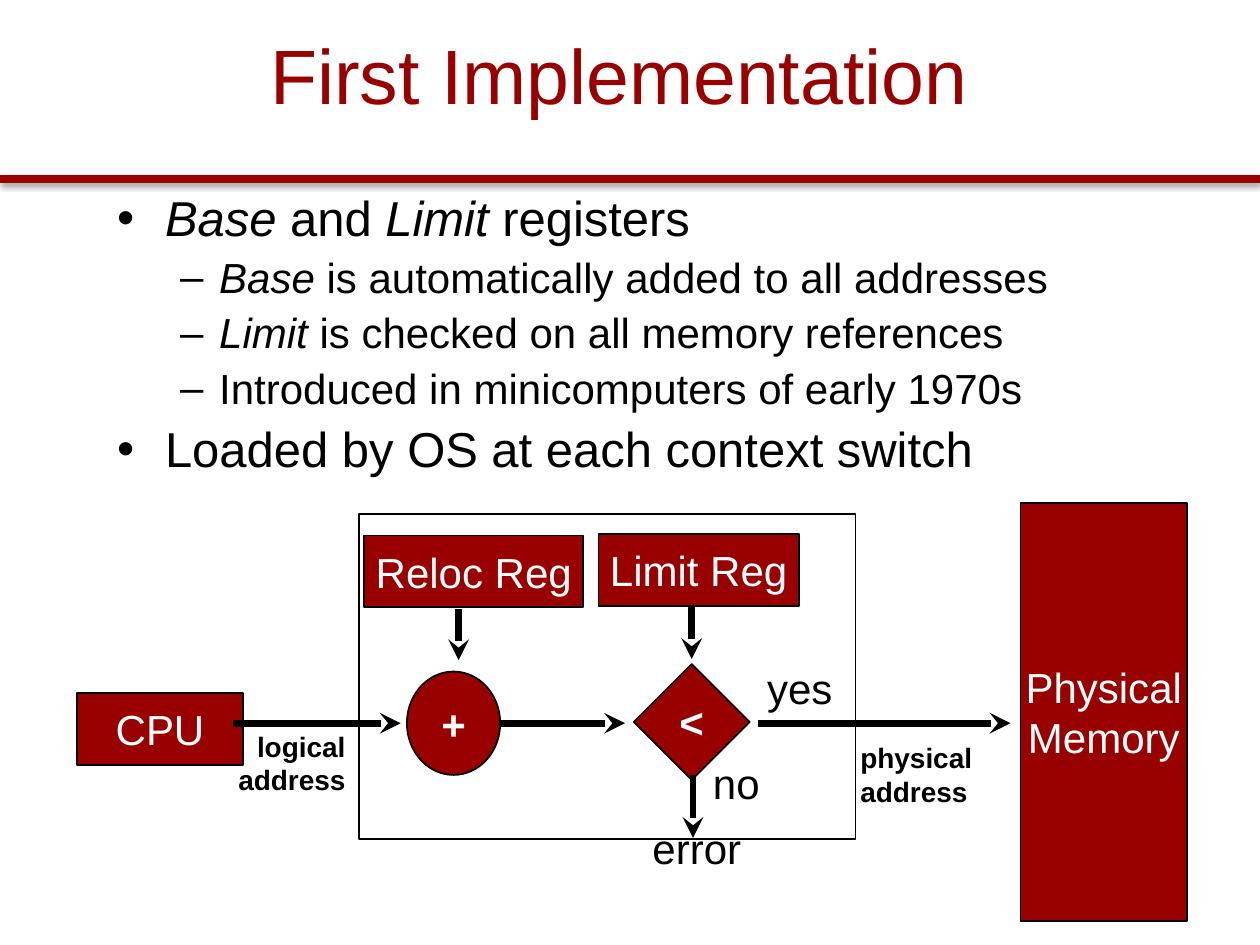
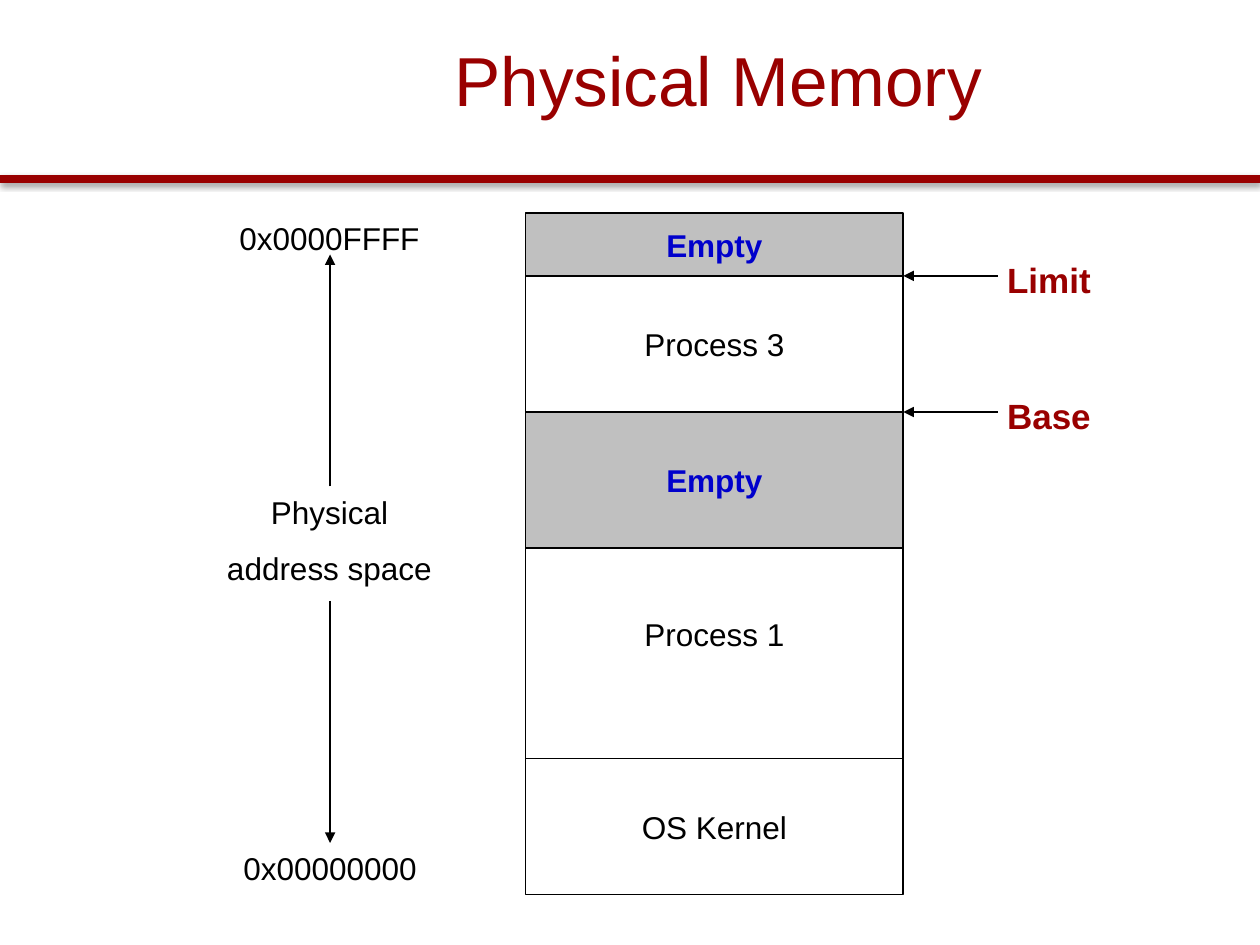
from lxml import etree
from pptx import Presentation
from pptx.dml.color import RGBColor
from pptx.enum.shapes import MSO_CONNECTOR, MSO_SHAPE
from pptx.enum.text import MSO_ANCHOR, MSO_AUTO_SIZE, PP_ALIGN
from pptx.oxml import parse_xml
from pptx.oxml.ns import nsdecls, qn
from pptx.util import Inches, Pt

RECTANGLE, OVAL, DIAMOND = MSO_SHAPE.RECTANGLE, MSO_SHAPE.OVAL, MSO_SHAPE.DIAMOND
LEFT, CENTER, RIGHT = PP_ALIGN.LEFT, PP_ALIGN.CENTER, PP_ALIGN.RIGHT
STRAIGHT = MSO_CONNECTOR.STRAIGHT
FONT = "Arial"
COLORS = {
    name: RGBColor.from_string(value)
    for name, value in {
        "red": "990000", "black": "000000", "white": "FFFFFF",
        "gray": "C0C0C0", "blue": "0000CC",
    }.items()
}


def add_label(slide, box, lines, size=24, color="black", bold=False, align=LEFT,
              kind=None, fill=None, space_before=0):
    """Add text in a plain text box, or in an outlined shape when a kind is given."""
    box = [Inches(length) for length in box]
    if kind is None:
        shape = slide.shapes.add_textbox(*box)
    else:
        shape = slide.shapes.add_shape(kind, *box)
        shape.shadow.inherit = False
        shape.line.color.rgb = COLORS["black"]
        shape.line.width = Pt(1)
        if fill:
            shape.fill.solid()
            shape.fill.fore_color.rgb = COLORS[fill]
        else:
            shape.fill.background()
        shape.text_frame.vertical_anchor = MSO_ANCHOR.MIDDLE
    frame = shape.text_frame
    frame.word_wrap = False
    for index, line in enumerate(lines):
        paragraph = frame.add_paragraph() if index else frame.paragraphs[0]
        paragraph.alignment = align
        if index:
            paragraph.space_before = Pt(space_before)
        run = paragraph.add_run()
        run.text = line
        run.font.name = FONT
        run.font.size = Pt(size)
        run.font.bold = bold
        run.font.color.rgb = COLORS[color]
    return shape


def add_line(slide, start, end, width, color="black", arrowhead=None):
    line = slide.shapes.add_connector(STRAIGHT, *map(Inches, (*start, *end)))
    line.line.color.rgb = COLORS[color]
    line.line.width = Pt(width)
    if arrowhead:
        outline = line.element.spPr.find(qn("a:ln"))
        etree.SubElement(outline, qn("a:tailEnd"), type=arrowhead)
    etree.SubElement(line.element.spPr, qn("a:effectLst"))
    return line


presentation = Presentation()
presentation.slide_width = Inches(10)
presentation.slide_height = Inches(7.5)

# Titles
slides = []
for layout, title, box, size in [
    (1, "First Implementation ", (0.75, 0.17, 8.5, 0.83), 44),
    (5, "Physical Memory", (1.45, 0.25, 8.5, 0.75), 39.6),
]:
    slide = presentation.slides.add_slide(presentation.slide_layouts[layout])
    shape = slide.shapes.title
    shape.left, shape.top, shape.width, shape.height = map(Inches, box)
    shape.text_frame.auto_size = MSO_AUTO_SIZE.NONE
    paragraph = shape.text_frame.paragraphs[0]
    paragraph.alignment = CENTER
    run = paragraph.add_run()
    run.text = title
    run.font.name = FONT
    run.font.size = Pt(size)
    run.font.color.rgb = COLORS["red"]
    slides.append(slide)
registers, memory = slides

# Red rule under the title, moved to the master so that every slide shows it
rule = add_line(registers, (0, 1.42), (10, 1.42), 5, "red")
rule.element.spPr.find(qn("a:effectLst")).append(parse_xml(
    f'<a:outerShdw {nsdecls("a")} blurRad="40000" dist="20000" dir="5400000" '
    'rotWithShape="0"><a:srgbClr val="000000"><a:alpha val="38000"/></a:srgbClr>'
    '</a:outerShdw>'
))
presentation.slide_master.shapes.element.append(rule.element)

# Slide 1: bullets, with the runs marked as italic or not
bullets = [
    (0, [("Base", True), (" and ", False), ("Limit", True), (" registers", False)]),
    (1, [("Base", True), (" is automatically added to all addresses", False)]),
    (1, [("Limit", True), (" is checked on all memory references", False)]),
    (1, [("Introduced in minicomputers of early 1970s", False)]),
    (0, [("Loaded by OS at each context switch", False)]),
]
level_styles = [(28, 0.38, -0.38), (24, 0.81, -0.31)]
body = registers.placeholders[1]
body.left, body.top, body.width, body.height = map(Inches, (0.83, 1.49, 8.5, 2.42))
frame = body.text_frame
frame.auto_size = MSO_AUTO_SIZE.NONE
for index, (level, runs) in enumerate(bullets):
    size, margin, indent = level_styles[level]
    paragraph = frame.add_paragraph() if index else frame.paragraphs[0]
    paragraph.level = level
    paragraph.line_spacing = 0.9
    paragraph.space_before = Pt(round(size * 0.24, 1) if index else 0)
    properties = paragraph._p.get_or_add_pPr()
    properties.set("marL", str(Inches(margin)))
    properties.set("indent", str(Inches(indent)))
    for text, italic in runs:
        run = paragraph.add_run()
        run.text = text
        run.font.name = FONT
        run.font.size = Pt(size)
        run.font.italic = italic
        run.font.color.rgb = COLORS["black"]

# Slide 1: address translation diagram
add_label(registers, (2.85, 4.08, 3.94, 2.58), [], kind=RECTANGLE)
for kind, box, lines, bold in [
    (RECTANGLE, (0.61, 5.5, 1.32, 0.57), ["CPU"], False),
    (RECTANGLE, (2.89, 4.25, 1.74, 0.57), ["Reloc Reg"], False),
    (RECTANGLE, (4.75, 4.24, 1.59, 0.57), ["Limit Reg"], False),
    (OVAL, (3.23, 5.33, 0.74, 0.82), ["+"], True),
    (DIAMOND, (5.03, 5.27, 0.92, 0.92), ["<"], True),
    (RECTANGLE, (8.1, 3.99, 1.32, 3.32), ["Physical", "Memory"], False),
]:
    add_label(registers, box, lines, color="white", bold=bold, align=CENTER,
              kind=kind, fill="red")

flow_y = 5.74
for start, end in [
    ((1.85, flow_y), (3.18, flow_y)),
    ((3.96, flow_y), (4.96, flow_y)),
    ((6.02, flow_y), (8.02, flow_y)),
    ((3.64, 4.83), (3.64, 5.24)),
    ((5.49, 4.81), (5.49, 5.23)),
    ((5.5, 6.15), (5.5, 6.65)),
]:
    add_line(registers, start, end, 4, arrowhead="stealth")

for text, box in [
    ("yes", (5.99, 5.21, 0.73, 0.51)),
    ("no", (5.56, 5.96, 0.58, 0.51)),
    ("error", (5.08, 6.48, 0.92, 0.51)),
]:
    add_label(registers, box, [text])
for text, box, align in [
    ("logical", (1.79, 5.74, 1.05, 0.64), RIGHT),
    ("physical", (6.73, 5.83, 1.09, 0.64), LEFT),
]:
    add_label(registers, box, [text, "address"], 16, bold=True, align=align)

# Slide 2: memory regions stacked from the highest address down
region_left, region_width = 4.17, 3
top = 1.69
for text, height, fill, mark in [
    ("Empty", 0.5, "gray", None),
    ("Process 3", 1.08, "white", "Limit"),
    ("Empty", 1.08, "gray", "Base"),
    ("Process 1", 1.67, None, None),
    ("OS Kernel", 1.08, None, None),
]:
    empty = text == "Empty"
    region = add_label(memory, (region_left, top, region_width, height), [text], 18,
                       "blue" if empty else "black", empty, CENTER, RECTANGLE, fill)
    if text == "Process 1":
        region.text_frame.margin_bottom = Inches(0.35)
    if mark:
        add_line(memory, (7.92, top), (region_left + region_width, top), 0.75,
                 arrowhead="triangle")
        add_label(memory, (7.89, top - 0.19, 0.87, 0.43), [mark], 20, "red", True, CENTER)
    top += height

# Slide 2: extent of the address space
for lines, box in [
    (["0x0000FFFF"], (1.8, 1.69, 1.63, 0.4)),
    (["Physical", "address space"], (1.7, 3.86, 1.83, 0.85)),
    (["0x00000000"], (1.83, 6.69, 1.58, 0.4)),
]:
    add_label(memory, box, lines, 18, align=CENTER, space_before=10.5)
add_line(memory, (2.62, 3.86), (2.62, 2.02), 1, arrowhead="triangle")
add_line(memory, (2.62, 4.77), (2.62, 6.69), 0.75, arrowhead="triangle")

presentation.save("out.pptx")
